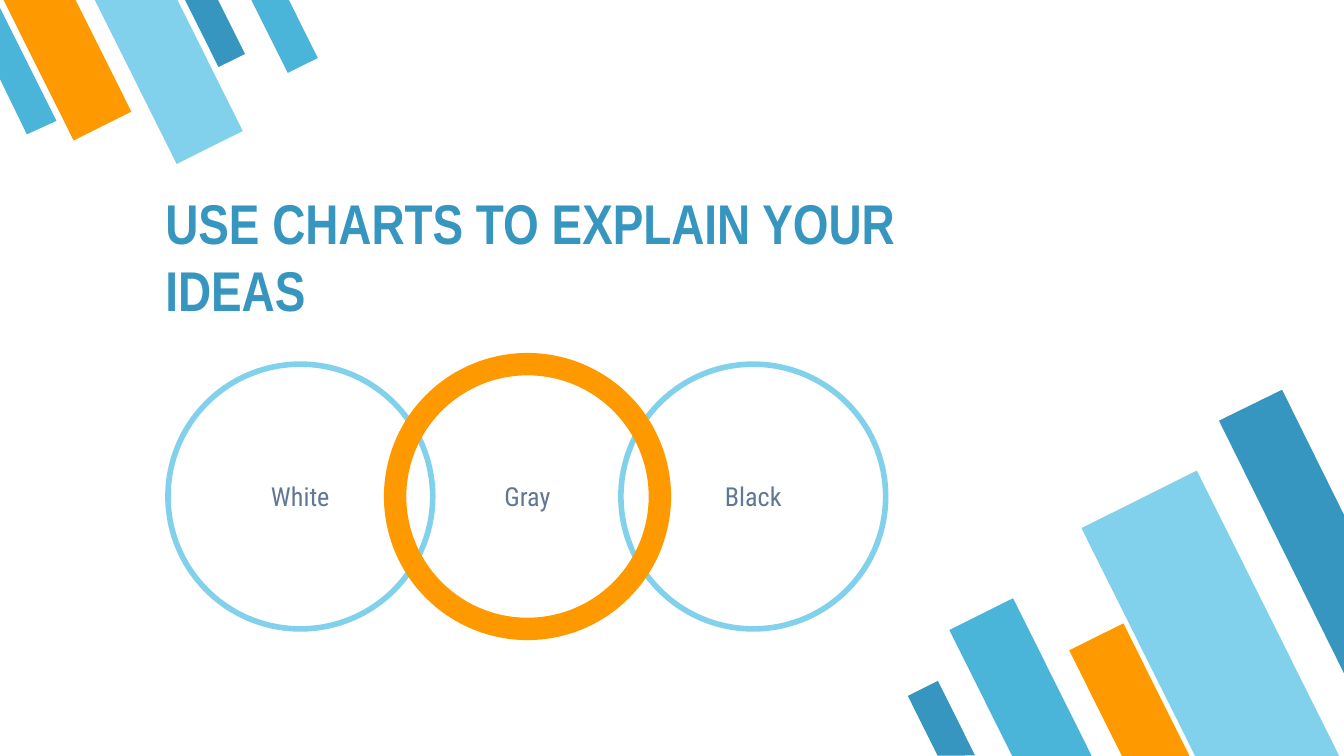
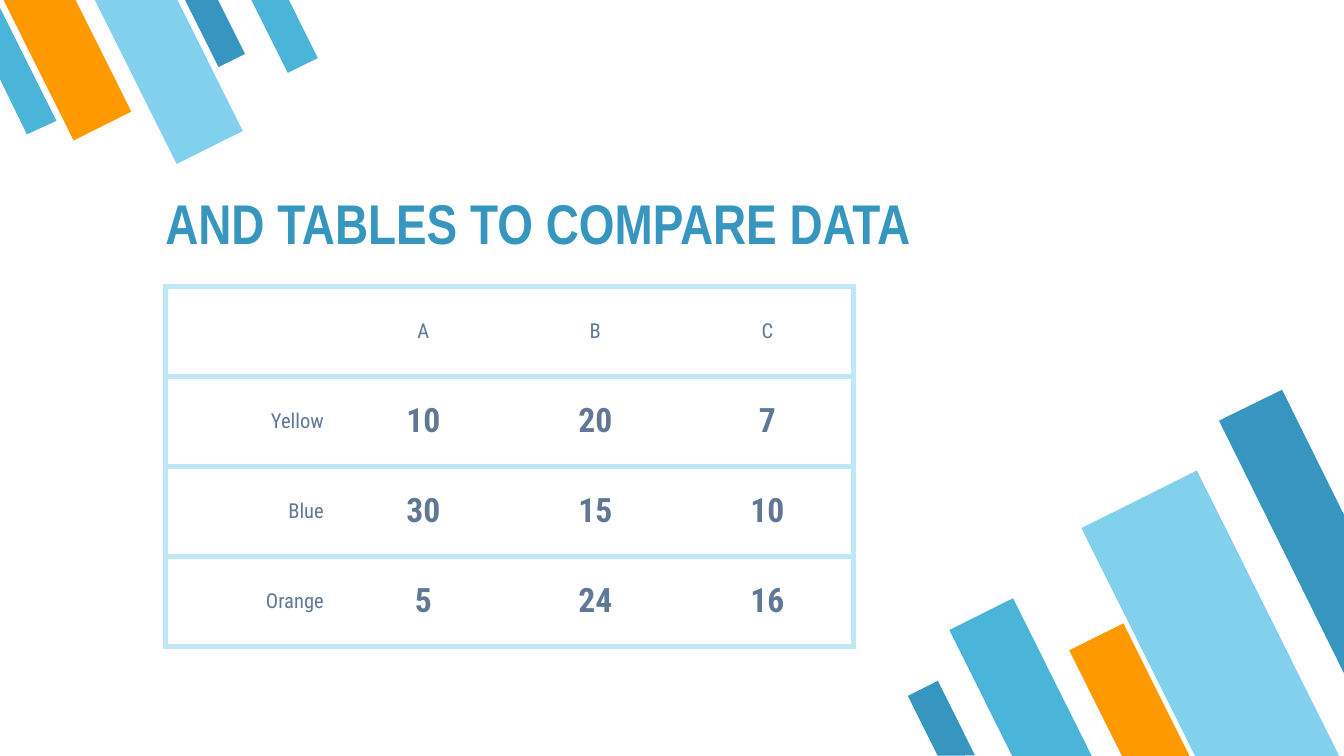
from dataclasses import dataclass

from lxml.etree import SubElement
from pptx import Presentation
from pptx.dml.color import RGBColor
from pptx.enum.shapes import MSO_SHAPE as SHAPE
from pptx.enum.text import MSO_ANCHOR as ANCHOR, MSO_AUTO_SIZE as FIT, PP_ALIGN as ALIGN
from pptx.oxml.ns import qn
from pptx.util import Inches, Pt


@dataclass(frozen=True)
class Theme:
    # colours
    dark: str = "3796BF"
    mid: str = "4BB5D9"
    light: str = "81D1EC"
    pale: str = "C0E7F6"
    accent: str = "FF9900"
    text: str = "607896"
    # fonts and sizes
    title_font: str = "Arial Narrow"
    body_font: str = "Roboto Condensed"
    title_size: int = 30
    label_size: int = 14
    head_size: int = 11
    value_size: int = 18


T = Theme()


def rgb(value):
    return RGBColor.from_string(value)


def put_text(tf, text, *, size, font=T.body_font, color=T.text, bold=False,
             align=ALIGN.CENTER):
    """Write one formatted paragraph into a text frame."""
    p = tf.paragraphs[0]
    p.alignment = align
    r = p.add_run()
    r.text = text
    r.font.name, r.font.size, r.font.bold = font, Pt(size), bold
    r.font.color.rgb = rgb(color)


class Deck:
    def __init__(self, prs):
        self.prs = prs
        self.layout = prs.slide_layouts[5]  # Title Only
        self.slide = None

    def new_slide(self, title, top):
        self.slide = self.prs.slides.add_slide(self.layout)
        sp = self.slide.shapes.title
        sp.left, sp.top, sp.width, sp.height = map(Inches, (1.13, top, 6.3, 0.74))
        tf = sp.text_frame
        tf.word_wrap, tf.auto_size = True, FIT.NONE
        tf.vertical_anchor = ANCHOR.BOTTOM
        self.insets(tf)
        put_text(tf, title, size=T.title_size, font=T.title_font, color=T.dark,
                 bold=True, align=ALIGN.LEFT)

    def insets(self, tf):
        tf.margin_left = tf.margin_right = Inches(0.1)
        tf.margin_top = tf.margin_bottom = Inches(0.1)

    def to_layout(self, sp, color):
        """Fill a decoration and share it through the layout."""
        sp.shadow.inherit = False
        sp.fill.solid()
        sp.fill.fore_color.rgb = rgb(color)
        sp.line.fill.background()
        self.layout.shapes.element.append(sp.element)

    def bar(self, box, color, angle):
        """Slanted bar whose cut end lies along the slide edge."""
        sp = self.slide.shapes.add_shape(SHAPE.FLOWCHART_MANUAL_INPUT,
                                         *map(Inches, box))
        sp.rotation = angle
        sp.element.spPr.find(qn("a:xfrm")).set("flipH", "1")
        self.to_layout(sp, color)

    def clipped_bar(self, points, color):
        """Bar cut by the side of the slide."""
        points = [(Inches(x), Inches(y)) for x, y in points]
        fb = self.slide.shapes.build_freeform(*points[0])
        fb.add_line_segments(points[1:], close=True)
        self.to_layout(fb.convert_to_shape(), color)

    def ring(self, text, left, color, weight):
        sp = self.slide.shapes.add_shape(SHAPE.OVAL, Inches(left), Inches(2.71),
                                         Inches(1.97), Inches(1.97))
        sp.shadow.inherit = False
        sp.fill.background()
        sp.line.color.rgb = rgb(color)
        sp.line.width = Pt(weight)
        tf = sp.text_frame
        tf.word_wrap, tf.vertical_anchor = True, ANCHOR.MIDDLE
        self.insets(tf)
        put_text(tf, text, size=T.label_size)

    def borders(self, cell, sides):
        tc_pr = cell._tc.get_or_add_tcPr()
        for side in "LRTB":
            ln = SubElement(tc_pr, qn(f"a:ln{side}"), w=str(Pt(3)))
            if side in sides:
                fill = SubElement(ln, qn("a:solidFill"))
                SubElement(fill, qn("a:srgbClr"), val=T.pale)
            else:
                SubElement(ln, qn("a:noFill"))

    def table(self, rows, left, top, col_width, row_height):
        n_rows, n_cols = len(rows), len(rows[0])
        table = self.slide.shapes.add_table(
            n_rows, n_cols, Inches(left), Inches(top),
            Inches(col_width * n_cols), Inches(row_height * n_rows)).table
        table.first_row = table.horz_banding = False
        for col in table.columns:
            col.width = Inches(col_width)
        for i, row in enumerate(rows):
            table.rows[i].height = Inches(row_height)
            for j, text in enumerate(row):
                cell = table.cell(i, j)
                # Outer frame plus a rule between rows
                self.borders(cell, "TB" + "L" * (j == 0) + "R" * (j == n_cols - 1))
                cell.fill.background()
                cell.vertical_anchor = ANCHOR.MIDDLE
                cell.margin_left = cell.margin_right = Inches(0.1)
                cell.margin_top = cell.margin_bottom = Inches(0.07)
                if text:
                    value = i > 0 and j > 0
                    put_text(cell.text_frame, text, bold=value,
                             size=T.value_size if value else T.head_size,
                             align=ALIGN.CENTER if j else ALIGN.RIGHT)

    def decorate(self):
        # Bottom right corner
        for box, color in (((7.33, 4.5, 0.53, 1.32), T.mid),
                           ((8.53, 3.59, 0.96, 2.39), T.light),
                           ((8.18, 4.68, 0.45, 1.11), T.accent),
                           ((6.88, 5.09, 0.25, 0.62), T.dark)):
            self.bar(box, color, 153.5)
        self.clipped_bar([(9.54, 2.9), (9.07, 3.13), (10, 5.01), (10, 3.83)], T.dark)
        # Top left corner
        for box, color in (((1.49, -0.08, 0.22, 0.56), T.dark),
                           ((0.26, -0.18, 0.48, 1.18), T.accent),
                           ((0.98, -0.2, 0.55, 1.37), T.light),
                           ((1.99, -0.1, 0.25, 0.62), T.mid)):
            self.bar(box, color, 333.5)
        self.clipped_bar([(0.2, 1), (0.42, 0.9), (0, 0.06), (0, 0.59)], T.mid)


prs = Presentation()
prs.slide_width = Inches(10)
prs.slide_height = Inches(10 * 9 / 16)  # widescreen
deck = Deck(prs)

# Slide 1: overlapping rings, the middle one in front
deck.new_slide("USE CHARTS TO EXPLAIN YOUR IDEAS", top=1.76)
deck.decorate()
for left, text, color, weight in ((1.25, "White", T.light, 3),
                                  (4.62, "Black", T.light, 3),
                                  (2.94, "Gray", T.accent, 12)):
    deck.ring(text, left, color, weight)

# Slide 2: comparison table
deck.new_slide("AND TABLES TO COMPARE DATA", top=1.26)
deck.table([("", "A", "B", "C"),
            ("Yellow", "10", "20", "7"),
            ("Blue", "30", "15", "10"),
            ("Orange", "5", "24", "16")],
           left=1.23, top=2.13, col_width=1.28, row_height=0.67)

prs.save("out.pptx")
